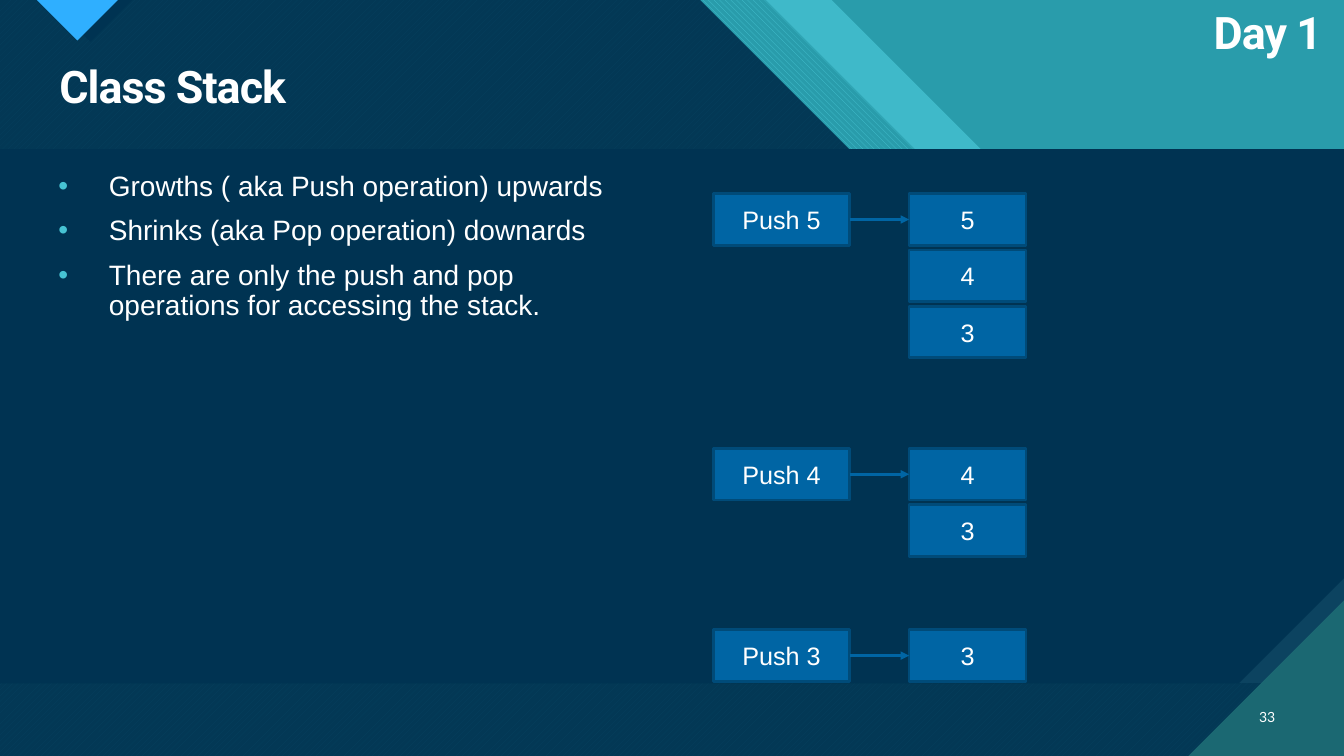
import lxml.etree
import pptx
import pptx.dml.color
import pptx.enum.dml
import pptx.enum.shapes
import pptx.enum.text
import pptx.oxml.ns
import pptx.util

Cm = pptx.util.Cm
Pt = pptx.util.Pt
Align = pptx.enum.text.PP_ALIGN
Anchor = pptx.enum.text.MSO_ANCHOR
Pattern = pptx.enum.dml.MSO_PATTERN

WIDTH, HEIGHT = 33.87, 19.05
HEADER, FOOTER = 3.76, 17.22


def color(value):
    return pptx.dml.color.RGBColor.from_string(value)


def apply(target, values):
    for name, value in values.items():
        setattr(target, name, value)


def add_xml(parent, tag, **attributes):
    return lxml.etree.SubElement(parent, pptx.oxml.ns.qn(tag), attributes)


class StackSlide:
    heading = {"name": "Roboto", "size": Pt(32), "bold": True}
    bullet = {"name": "Arial", "size": Pt(20)}
    label = {"name": "Arial", "size": Pt(18)}
    number = {"name": "Lato", "size": Pt(10)}
    white, accent, navy = "FFFFFF", "47C3D3", "003352"
    box_fill, box_line = "0065A4", "004B79"

    def __init__(self, presentation):
        self.slide = presentation.slides.add_slide(presentation.slide_layouts[1])
        self.shapes = self.slide.shapes
        fill = self.slide.background.fill
        fill.solid()
        fill.fore_color.rgb = color("299CAB")

    def place(self, shape, left, top, width, height):
        apply(shape, {"left": Cm(left), "top": Cm(top), "width": Cm(width), "height": Cm(height)})

    def set_text(self, shape, lines, font, align, anchor=Anchor.MIDDLE, spacing=1.0, before=0):
        frame = shape.text_frame
        frame.text = "\n".join(lines)
        apply(frame, {"word_wrap": True, "vertical_anchor": anchor,
                      "auto_size": pptx.enum.text.MSO_AUTO_SIZE.NONE})
        for paragraph in frame.paragraphs:
            apply(paragraph, {"alignment": align, "line_spacing": spacing,
                              "space_before": Pt(before)})
            for run in paragraph.runs:
                apply(run.font, font)
                run.font.color.rgb = color(self.white)
                if font is self.heading:
                    run.font._element.set("spc", "-70")

    def polygon(self, points, fore, back=None, pattern=None):
        corners = [(Cm(x), Cm(y)) for x, y in points]
        builder = self.shapes.build_freeform(*corners[0])
        builder.add_line_segments(corners[1:])
        shape = builder.convert_to_shape()
        shape.shadow.inherit = False
        shape.line.fill.background()
        if pattern:
            shape.fill.patterned()
            shape.fill.pattern = pattern
            shape.fill.back_color.rgb = color(back)
        else:
            shape.fill.solid()
        shape.fill.fore_color.rgb = color(fore)

    def band(self, left, width, *fill):
        self.polygon([(left, 0), (left + width, 0), (left + width + HEADER, HEADER),
                      (left + HEADER, HEADER)], *fill)

    def text(self, line, font, align, area, **options):
        shape = self.shapes.add_textbox(0, 0, 0, 0)
        self.place(shape, *area)
        self.set_text(shape, [line], font, align, **options)

    def title(self, line, area):
        shape = self.shapes.title
        self.place(shape, *area)
        self.set_text(shape, [line], self.heading, Align.LEFT, spacing=0.9)
        self.bring_forward(shape)

    def bullets(self, lines, area):
        shape = self.slide.placeholders[1]
        self.place(shape, *area)
        self.set_text(shape, lines, self.bullet, Align.LEFT, Anchor.TOP, 0.9, 10)
        for paragraph in shape.text_frame.paragraphs:
            properties = paragraph._p.get_or_add_pPr()
            properties.set("marL", str(Cm(1.27)))
            properties.set("indent", str(-Cm(1.27)))
            add_xml(add_xml(properties, "a:buClr"), "a:srgbClr", val=self.accent)
            add_xml(properties, "a:buFont", typeface="Arial")
            add_xml(properties, "a:buChar", char="•")
        self.bring_forward(shape)

    def bring_forward(self, shape):
        shape._element.getparent().append(shape._element)

    def box(self, line, left, top, width):
        shape = self.shapes.add_shape(pptx.enum.shapes.MSO_SHAPE.RECTANGLE, 0, 0, 0, 0)
        self.place(shape, left, top, width, 1.3)
        shape.shadow.inherit = False
        shape.fill.solid()
        shape.fill.fore_color.rgb = color(self.box_fill)
        shape.line.color.rgb = color(self.box_line)
        shape.line.width = Pt(2)
        self.set_text(shape, [line], self.label, Align.CENTER)
        return shape

    def arrow(self, start, end):
        connector = self.shapes.add_connector(pptx.enum.shapes.MSO_CONNECTOR.STRAIGHT, 0, 0, 0, 0)
        connector.begin_connect(start, 3)
        connector.end_connect(end, 1)
        connector.line.color.rgb = color(self.box_fill)
        connector.line.width = Pt(2)
        add_xml(connector.line._get_or_add_ln(), "a:tailEnd", type="triangle")
        add_xml(connector._element.spPr, "a:effectLst")

    def backdrop(self):
        self.polygon([(0, 0), (17.65, 0), (WIDTH, 16.22), (WIDTH, HEIGHT), (0, HEIGHT)],
                     "07415F", "033855", Pattern.WIDE_UPWARD_DIAGONAL)
        self.band(17.65, 1.65, self.accent, "299CAB", Pattern.WIDE_DOWNWARD_DIAGONAL)
        self.band(19.3, 1.66, "3FB9C9")
        self.polygon([(1.22, 0), (3.33, 0), (2.28, 1.05)], self.navy)
        self.polygon([(0.93, 0), (2.97, 0), (1.95, 1.02)], "2FAFFF")
        self.polygon([(0, HEADER), (WIDTH, HEADER), (WIDTH, FOOTER), (0, FOOTER)], "0C4360")
        self.polygon([(0, HEADER), (WIDTH, HEADER), (WIDTH, FOOTER - 2.65),
                      (WIDTH - 2.65, FOOTER), (0, FOOTER)], self.navy)
        self.polygon([(WIDTH - 3.92, HEIGHT), (WIDTH, HEIGHT), (WIDTH, HEIGHT - 3.92)], "1B6872")

    def push(self, pushed, top):
        operation = self.box(f"Push {pushed}", 17.98, top, 3.43)
        cells = [self.box(str(value), 22.91, top + row * 1.42, 2.95)
                 for row, value in enumerate(range(pushed, 2, -1))]
        self.arrow(operation, cells[0])


def main():
    presentation = pptx.Presentation()
    apply(presentation, {"slide_width": Cm(WIDTH), "slide_height": Cm(HEIGHT)})
    stack = StackSlide(presentation)
    stack.backdrop()
    stack.title("Class Stack", (1.24, 1.5, 31.14, 1.5))
    stack.text("33", stack.number, Align.RIGHT, (31.27, 17.55, 1.12, 1.02))
    stack.bullets(["Growths ( aka Push operation) upwards",
                   "Shrinks (aka Pop operation) downards",
                   "There are only the push and pop operations for accessing the stack."],
                  (1.22, 4.22, 14.4, 12.95))
    stack.text("Day 1", stack.heading, Align.CENTER, (30.02, 0.13, 3.86, 1.5), spacing=0.9)
    for pushed, top in ((3, 15.87), (4, 11.3), (5, 4.88)):
        stack.push(pushed, top)
    presentation.save("out.pptx")


if __name__ == "__main__":
    main()
